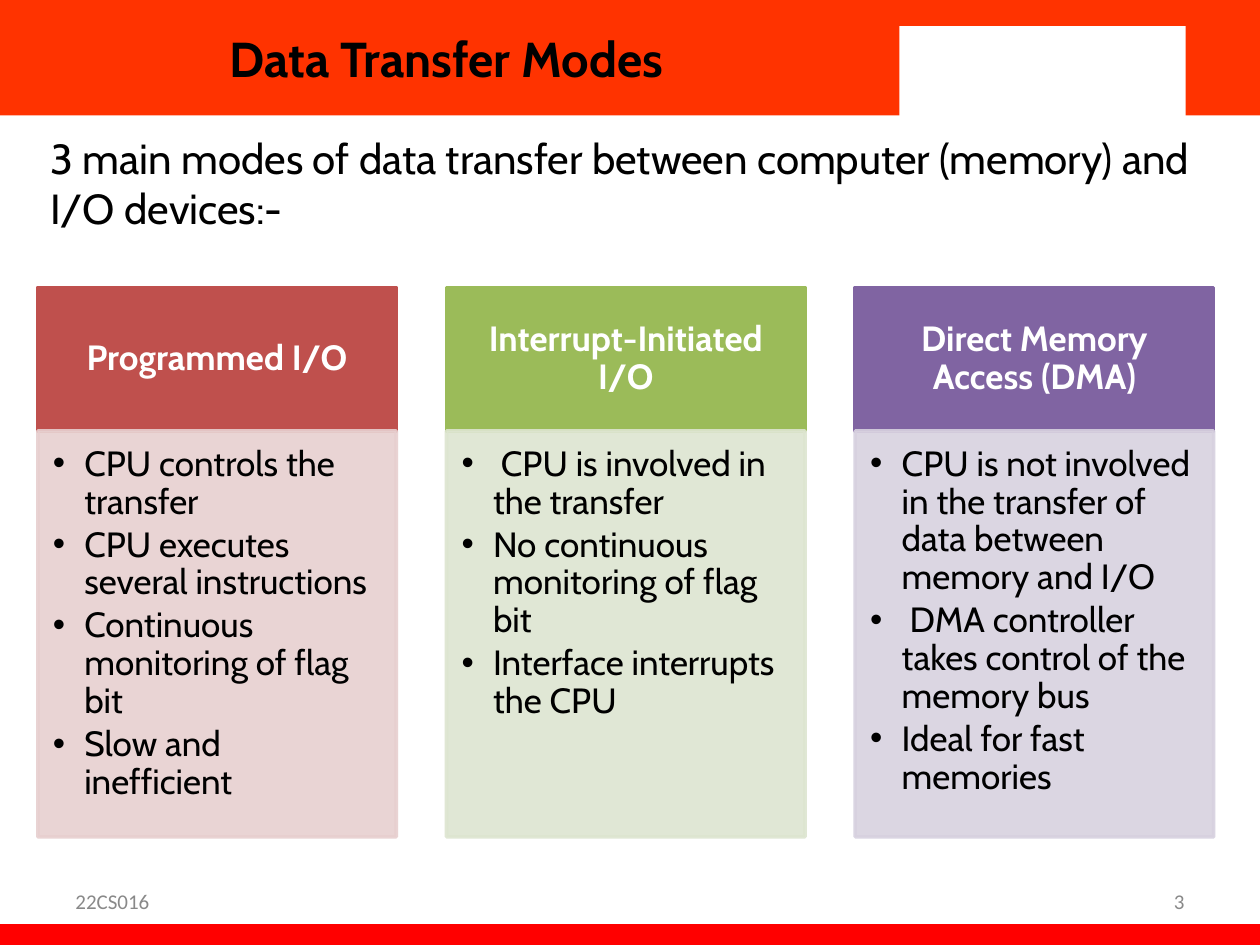
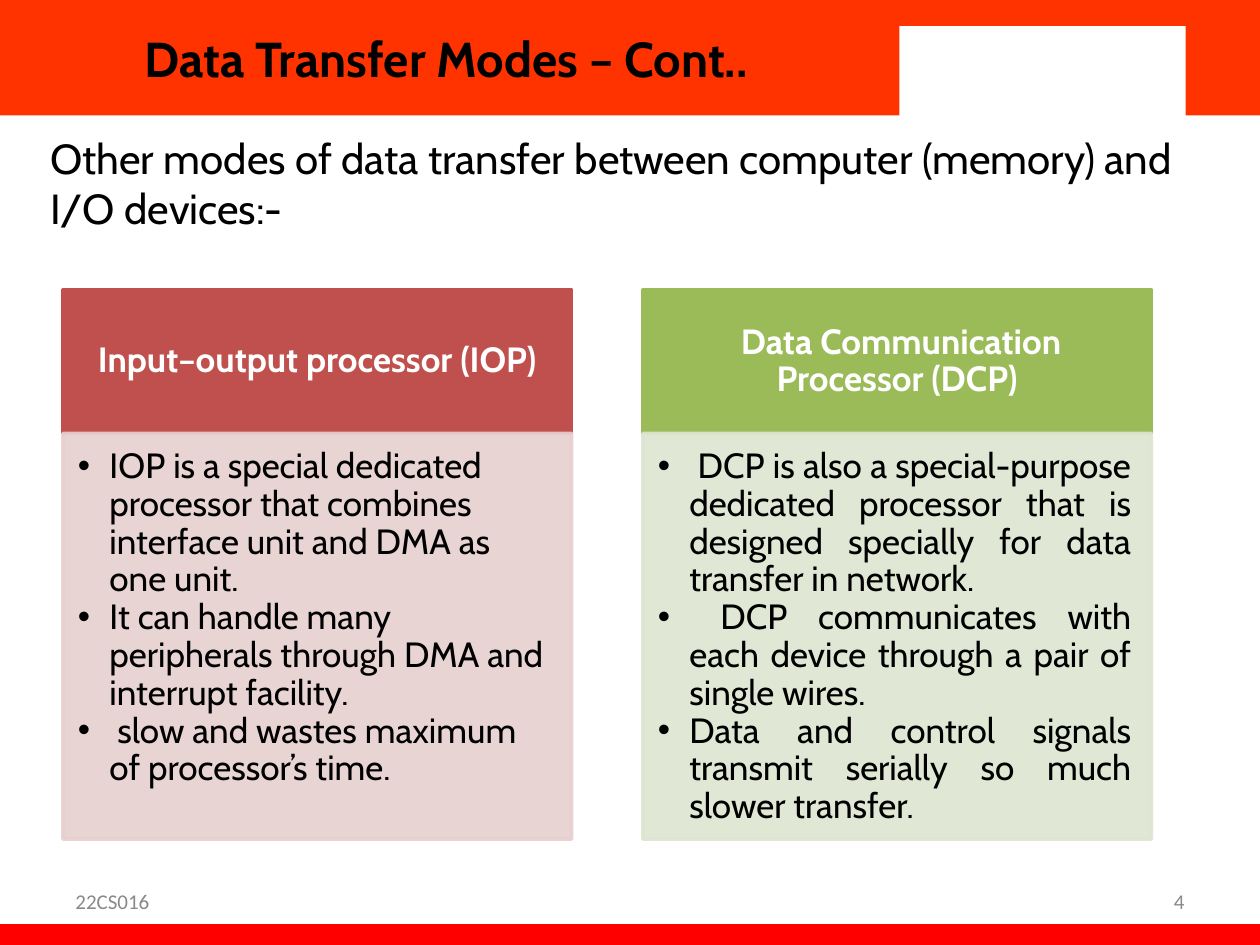
from lxml.etree import SubElement
from pptx import Presentation
from pptx.dml.color import RGBColor
from pptx.enum.shapes import MSO_SHAPE
from pptx.enum.text import MSO_ANCHOR, PP_ALIGN
from pptx.oxml.ns import qn
from pptx.util import Pt

BLACK = RGBColor(0x00, 0x00, 0x00)
WHITE = RGBColor(0xFF, 0xFF, 0xFF)
GREY = RGBColor(0x89, 0x89, 0x89)
BAND_ORANGE = RGBColor(0xFF, 0x33, 0x00)
BAR_RED = RGBColor(0xFF, 0x00, 0x00)
# (heading fill, body fill) for each column in turn
COLUMN_COLOURS = [
    (RGBColor(0xBF, 0x50, 0x4D), RGBColor(0xE7, 0xCF, 0xCF)),
    (RGBColor(0x9B, 0xBB, 0x59), RGBColor(0xDD, 0xE5, 0xD0)),
    (RGBColor(0x80, 0x64, 0xA2), RGBColor(0xD7, 0xD1, 0xDF)),
]
TEXT_FONT, FOOTER_FONT = "Cabin", "Calibri"
COURSE_CODE = "22CS016"

SLIDES = [
    {
        "number": 3,
        "title": "Data Transfer Modes",
        "intro": "3 main modes of data transfer between computer (memory) and I/O devices:-",
        "area": (21.6, 164.3, 672),
        "bullet_gap": 3,
        "columns": [
            ("Programmed I/O", PP_ALIGN.LEFT, [
                "CPU controls the transfer",
                "CPU executes several instructions",
                "Continuous monitoring of flag bit",
                "Slow and inefficient",
            ]),
            ("Interrupt-Initiated I/O", PP_ALIGN.LEFT, [
                " CPU is involved in the transfer",
                "No continuous monitoring of flag bit",
                "Interface interrupts the CPU",
            ]),
            ("Direct Memory Access (DMA)", PP_ALIGN.LEFT, [
                "CPU is not involved in the transfer of data between memory and I/O",
                " DMA controller takes control of the memory bus",
                "Ideal for fast memories",
            ]),
        ],
    },
    {
        "number": 4,
        "title": "Data Transfer Modes – Cont..",
        "intro": "Other modes of data transfer between computer (memory) and I/O devices:-",
        "area": (36, 165.6, 622),
        "bullet_gap": 0,
        "columns": [
            ("Input–output processor (IOP)", PP_ALIGN.LEFT, [
                "IOP is a special dedicated processor that combines interface unit "
                "and DMA as one unit.",
                "It can handle many peripherals through DMA and interrupt facility.",
                " slow and wastes maximum of processor’s time.",
            ]),
            (" Data Communication Processor (DCP)", PP_ALIGN.JUSTIFY, [
                " DCP is also a special-purpose dedicated processor that is designed "
                "specially for data transfer in network.",
                " DCP communicates with each device through a pair of single wires. ",
                "Data and control signals transmit serially so much slower transfer.",
            ]),
        ],
    },
]

GAP_RATIO = 0.14  # gap between columns, as a share of the column width
HEADING_HEIGHT, BODY_HEIGHT = 82, 232
BODY_ALPHA = 89
BULLET_INDENT = 18


def add_rectangle(page, left, top, width, height, fill, outlined=False, alpha=None):
    box = page.shapes.add_shape(
        MSO_SHAPE.RECTANGLE, Pt(left), Pt(top), Pt(width), Pt(height))
    box.shadow.inherit = False
    box.fill.solid()
    box.fill.fore_color.rgb = fill
    if outlined:
        box.line.color.rgb = fill
        box.line.width = Pt(2)
    else:
        box.line.fill.background()
    if alpha is not None:
        for colour in box._element.spPr.iter(qn("a:srgbClr")):
            SubElement(colour, qn("a:alpha"), val=str(alpha * 1000))
    return box


def add_bullet(para):
    properties = para._p.get_or_add_pPr()
    properties.set("marL", str(Pt(BULLET_INDENT)))
    properties.set("indent", str(-Pt(BULLET_INDENT)))
    colour = SubElement(properties, qn("a:buClr"))
    SubElement(colour, qn("a:srgbClr"), val=str(BLACK))
    SubElement(properties, qn("a:buFont"), typeface="Arial")
    SubElement(properties, qn("a:buChar"), char="•")


def write_text(box, paragraphs, size=20, font=TEXT_FONT, colour=BLACK, bold=False,
               align=PP_ALIGN.LEFT, anchor=MSO_ANCHOR.MIDDLE, insets=(7.2, 3.6, 7.2, 3.6),
               line_spacing=None, gap=0, bullets=False):
    frame = box.text_frame
    frame.word_wrap = True
    frame.vertical_anchor = anchor
    (frame.margin_left, frame.margin_top,
     frame.margin_right, frame.margin_bottom) = map(Pt, insets)
    for index, text in enumerate(paragraphs):
        para = frame.add_paragraph() if index else frame.paragraphs[0]
        if bullets:
            add_bullet(para)
        para.alignment = align
        para.line_spacing = line_spacing
        if index:
            para.space_before = Pt(gap)
        span = para.add_run()
        span.text = text
        span.font.name = font
        span.font.size = Pt(size)
        span.font.bold = bold
        span.font.color.rgb = colour


def add_text(page, text, left, top, width, height, **text_format):
    box = page.shapes.add_textbox(Pt(left), Pt(top), Pt(width), Pt(height))
    write_text(box, [text], **text_format)


def add_frame(page, content):
    """Draw the bands, title, introduction and footer shared by all slides."""
    add_rectangle(page, 0, 0, 720, 66, BAND_ORANGE)
    add_rectangle(page, 0, 528, 720, 12, BAR_RED)
    add_rectangle(page, 514, 15, 163.5, 54, WHITE)
    add_text(page, content["title"], 0, 0, 510, 66,
             size=28, bold=True, align=PP_ALIGN.CENTER)
    add_text(page, content["intro"], 21.6, 72, 672, 436, size=24, anchor=MSO_ANCHOR.TOP)
    footer = {"size": 12, "font": FOOTER_FONT, "colour": GREY}
    add_text(page, COURSE_CODE, 36, 500.5, 168, 28.8, **footer)
    add_text(page, str(content["number"]), 516, 500.5, 168, 28.8,
             align=PP_ALIGN.RIGHT, **footer)


def add_columns(page, content):
    left, top, total_width = content["area"]
    count = len(content["columns"])
    width = total_width / (count + GAP_RATIO * (count - 1))
    for (heading, align, points), (dark, light) in zip(content["columns"], COLUMN_COLOURS):
        heading_box = add_rectangle(page, left, top, width, HEADING_HEIGHT, dark, outlined=True)
        write_text(heading_box, [heading], colour=WHITE, bold=True, align=PP_ALIGN.CENTER,
                   insets=(11.5, 6.5, 11.5, 6.5), line_spacing=0.9)
        body_box = add_rectangle(page, left, top + HEADING_HEIGHT, width, BODY_HEIGHT, light,
                                 outlined=True, alpha=BODY_ALPHA)
        write_text(body_box, points, align=align, anchor=MSO_ANCHOR.TOP,
                   insets=(8.6, 8.6, 11.5, 12.2), line_spacing=0.9,
                   gap=content["bullet_gap"], bullets=True)
        left += width * (1 + GAP_RATIO)


def main():
    deck = Presentation()
    deck.slide_width, deck.slide_height = Pt(720), Pt(540)
    for content in SLIDES:
        page = deck.slides.add_slide(deck.slide_layouts[6])
        add_frame(page, content)
        add_columns(page, content)
    deck.save("out.pptx")


if __name__ == "__main__":
    main()
